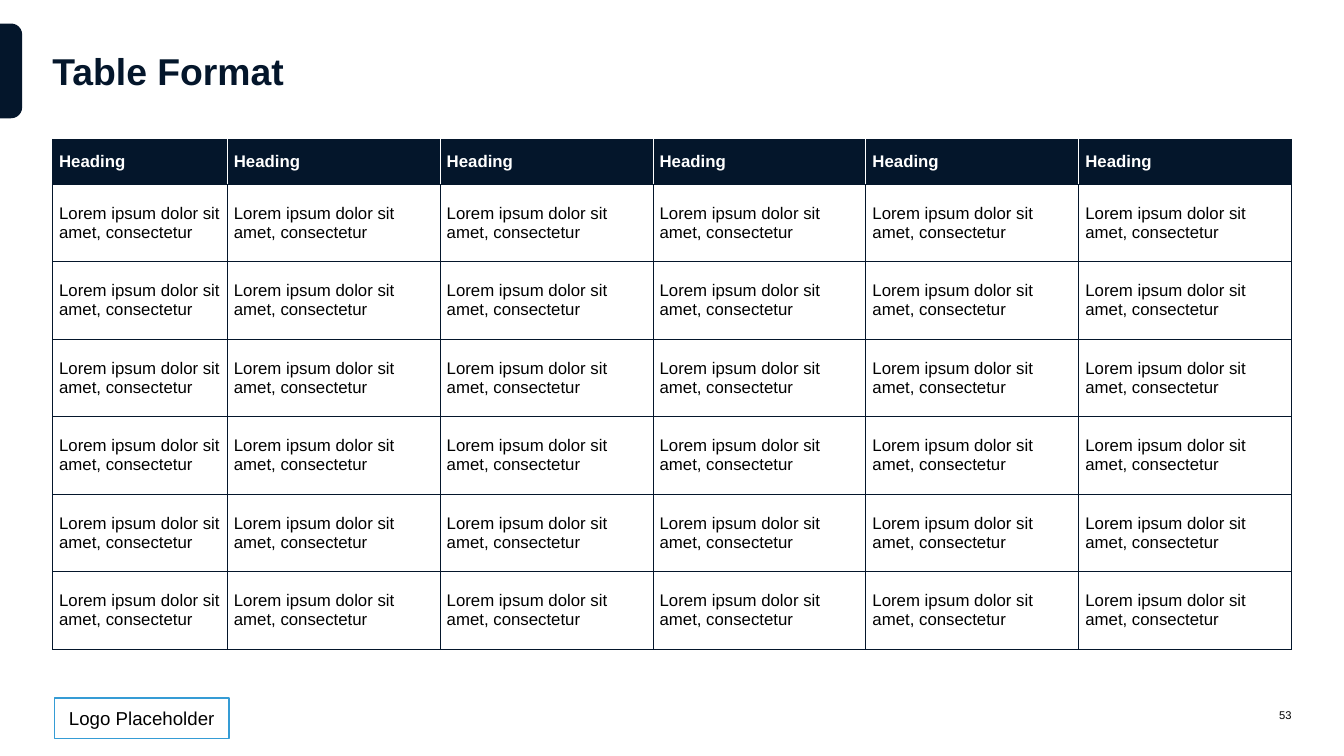
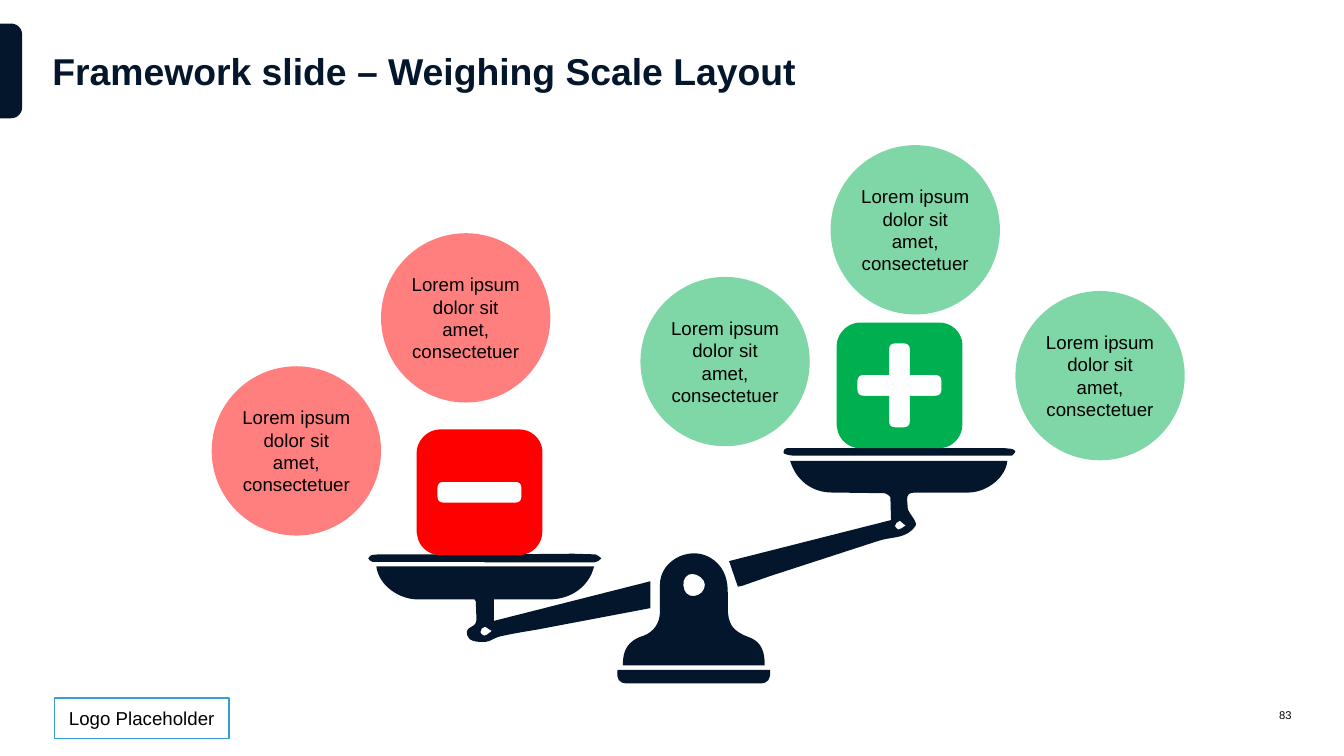
from lxml import etree
from pptx import Presentation
from pptx import util as u
from pptx.dml.color import RGBColor
from pptx.enum import shapes, text
from pptx.oxml import ns

NAVY = RGBColor(0x04, 0x16, 0x2B)
BLUE = RGBColor(0x35, 0x9C, 0xD5)
GREEN = RGBColor(0x00, 0xB0, 0x50)
RED = RGBColor(0xFF, 0x00, 0x00)
WHITE = RGBColor(0xFF, 0xFF, 0xFF)
BLACK = RGBColor(0x00, 0x00, 0x00)
FONT = "Arial"
LEFT, CENTER, RIGHT = text.PP_ALIGN.LEFT, text.PP_ALIGN.CENTER, text.PP_ALIGN.RIGHT


def write(frame, words, size=20, color=BLACK, bold=False, align=LEFT, margin=None):
    """Fill a text frame with one formatted, wrapped paragraph."""
    frame.word_wrap = True
    frame.vertical_anchor = text.MSO_ANCHOR.MIDDLE
    if margin is not None:
        frame.margin_left = frame.margin_right = u.Inches(margin)
        frame.margin_top = frame.margin_bottom = u.Inches(margin)
    paragraph = frame.paragraphs[0]
    paragraph.alignment = align
    run = paragraph.add_run()
    run.text = words
    run.font.name, run.font.size, run.font.bold = FONT, u.Pt(size), bold
    run.font.color.rgb = color


def outline(slide, color, contours, left=0, top=0):
    """Draw closed contours: a pair is a line's end, six numbers are a Bezier curve."""
    builder = None
    for contour in contours:
        ends = [(u.Inches(left + step[-2]), u.Inches(top + step[-1])) for step in contour]
        if builder is None:
            builder = slide.shapes.build_freeform(*ends[0])
        else:
            builder.move_to(*ends[0])
        builder.add_line_segments(ends[1:], close=True)
    shape = builder.convert_to_shape()
    shape.shadow.inherit = False
    shape.fill.solid()
    shape.fill.fore_color.rgb = color
    shape.line.fill.background()
    # Bend the segments that have control points
    segments = list(shape._element.iter(ns.qn("a:lnTo")))
    steps = [step for contour in contours for step in contour[1:]]
    for segment, step in zip(segments, steps):
        if len(step) == 6:
            segment.tag = ns.qn("a:cubicBezTo")
            segment.clear()
            for x, y in zip(step[::2], step[1::2]):
                etree.SubElement(segment, ns.qn("a:pt"), x=str(u.Inches(left + x) - shape.left),
                                 y=str(u.Inches(top + y) - shape.top))


prs = Presentation()
prs.slide_width, prs.slide_height = u.Inches(20), u.Inches(11.25)

# Shared frame: side tab, logo box, title, page number
slides = []
for title, page in [("Table Format", "53"), ("Framework slide – Weighing Scale Layout", "83")]:
    slide = prs.slides.add_slide(prs.slide_layouts[6])
    slides.append(slide)

    tab = slide.shapes.add_shape(shapes.MSO_SHAPE.ROUND_2_SAME_RECTANGLE, u.Inches(-0.54),
                                 u.Inches(0.89), u.Inches(1.41), u.Inches(0.33))
    tab.rotation = 90
    tab.adjustments[0] = 0.5
    tab.shadow.inherit = False
    tab.fill.solid()
    tab.fill.fore_color.rgb = NAVY
    tab.line.fill.background()

    logo = slide.shapes.add_shape(shapes.MSO_SHAPE.ROUNDED_RECTANGLE, u.Inches(0.81),
                                  u.Inches(10.39), u.Inches(2.6), u.Inches(0.6))
    logo.adjustments[0] = 0
    logo.shadow.inherit = False
    logo.fill.solid()
    logo.fill.fore_color.rgb = WHITE
    logo.line.color.rgb, logo.line.width = BLUE, u.Pt(1.5)
    write(logo.text_frame, "Logo Placeholder", align=CENTER)

    heading = slide.shapes.add_textbox(u.Inches(0.78), u.Inches(0.35), u.Inches(18.44), u.Inches(1.39))
    write(heading.text_frame, title, size=40, color=NAVY, bold=True, margin=0)
    number = slide.shapes.add_textbox(u.Inches(18.34), u.Inches(10.39), u.Inches(0.88), u.Inches(0.51))
    write(number.text_frame, page, size=12, align=RIGHT, margin=0)

table_slide, scale_slide = slides

# Table: navy heading row over six body rows
width, height, first_column, heading_row = 18.44, 7.59, 2.6, 0.67
column_widths = [first_column] + [(width - first_column) / 5] * 5
row_heights = [heading_row] + [(height - heading_row) / 6] * 6
table = table_slide.shapes.add_table(7, 6, u.Inches(0.78), u.Inches(2.07),
                                     u.Inches(width), u.Inches(height)).table
table.horz_banding = False
for column, column_width in zip(table.columns, column_widths):
    column.width = u.Inches(column_width)
for r, row_height in enumerate(row_heights):
    table.rows[r].height = u.Inches(row_height)
    for c in range(6):
        cell = table.cell(r, c)
        cell.vertical_anchor = text.MSO_ANCHOR.MIDDLE
        # White rules stand between the headings, navy rules everywhere else
        edges = {"lnL": WHITE if r == 0 and c > 0 else NAVY,
                 "lnR": WHITE if r == 0 and c < 5 else NAVY,
                 "lnT": NAVY, "lnB": NAVY}
        for edge, color in edges.items():
            rule = etree.SubElement(cell._tc.get_or_add_tcPr(), ns.qn("a:" + edge), w=str(u.Pt(0.75)))
            fill = etree.SubElement(rule, ns.qn("a:solidFill"))
            etree.SubElement(fill, ns.qn("a:srgbClr"), val=str(color))
        if r == 0:
            cell.fill.solid()
            cell.fill.fore_color.rgb = NAVY
            write(cell.text_frame, "Heading", size=18, color=WHITE, bold=True)
        else:
            cell.fill.background()
            write(cell.text_frame, "Lorem ipsum dolor sit amet, consectetur", size=18)

# Scale: left pan and arm
outline(scale_slide, NAVY, [
    [(8.84, 8.43), (8.77, 8.72, 8.51, 8.91, 8.2, 8.92), (7.35, 8.92), (7.35, 9.24), (9.68, 8.65),
     (9.68, 9.05), (7.99, 9.37), (7.81, 9.4, 7.62, 9.43, 7.45, 9.47),
     (7.39, 9.48, 7.35, 9.51, 7.3, 9.53), (7.24, 9.57, 7.02, 9.56, 6.98, 9.5),
     (6.93, 9.44, 6.93, 9.36, 7.01, 9.33), (7.08, 9.3, 7.09, 9.26, 7.09, 9.2),
     (7.08, 8.95), (7.06, 8.92), (6.21, 8.92), (5.96, 8.92, 5.64, 8.73, 5.6, 8.43)],
    [(7.32, 9.39), (7.26, 9.36, 7.23, 9.32, 7.21, 9.33), (7.18, 9.33, 7.15, 9.37, 7.15, 9.4),
     (7.14, 9.42, 7.19, 9.46, 7.21, 9.46), (7.24, 9.46, 7.26, 9.43, 7.32, 9.39)],
])

# Scale: right pan and arm
outline(scale_slide, NAVY, [
    [(10.98, 8.73), (10.85, 8.35), (13.26, 7.74), (13.25, 7.4), (13.24, 7.38, 13.19, 7.34, 13.16, 7.34),
     (12.38, 7.33), (12.08, 7.33, 11.84, 7.14, 11.76, 6.86), (14.99, 6.86),
     (14.97, 7.09, 14.71, 7.32, 14.42, 7.33), (13.62, 7.33), (13.53, 7.33, 13.49, 7.36, 13.5, 7.45),
     (13.51, 7.58), (13.52, 7.61, 13.55, 7.65, 13.57, 7.68), (13.59, 7.72, 13.63, 7.75, 13.63, 7.79),
     (13.64, 7.82, 13.6, 7.86, 13.57, 7.89), (13.43, 8.02, 13.24, 7.99, 13.07, 8.05),
     (11.47, 8.57), (11.04, 8.72)],
    [(13.48, 7.82), (13.43, 7.79, 13.4, 7.75, 13.39, 7.75), (13.36, 7.76, 13.32, 7.79, 13.32, 7.82),
     (13.31, 7.83, 13.35, 7.88, 13.37, 7.88), (13.4, 7.88, 13.43, 7.85, 13.48, 7.82)],
])

# Scale: pivot stand and foot
outline(scale_slide, NAVY, [
    [(9.27, 9.9), (9.26, 9.67, 9.36, 9.52, 9.58, 9.46), (9.73, 9.4, 9.82, 9.27, 9.82, 9.11),
     (9.82, 8.71), (9.82, 8.51, 9.94, 8.36, 10.11, 8.28), (10.28, 8.21, 10.46, 8.21, 10.63, 8.34),
     (10.79, 8.47, 10.83, 8.64, 10.83, 8.82), (10.83, 9.03),
     (10.83, 9.29, 10.9, 9.39, 11.14, 9.48), (11.34, 9.55, 11.38, 9.71, 11.38, 9.9)],
    [(10.3, 8.54), (10.22, 8.54, 10.16, 8.61, 10.17, 8.71), (10.17, 8.81, 10.24, 8.88, 10.33, 8.87),
     (10.42, 8.86, 10.49, 8.79, 10.49, 8.7), (10.49, 8.62, 10.39, 8.54, 10.3, 8.54)],
])
outline(scale_slide, NAVY, [
    [(11.46, 9.97), (11.47, 10.11, 11.43, 10.17, 11.31, 10.17), (9.33, 10.17),
     (9.21, 10.17, 9.17, 10.1, 9.19, 9.97)],
])

# Scale: right and left plates
outline(scale_slide, NAVY, [
    [(11.8, 6.67), (14.96, 6.67), (15.06, 6.68), (15.08, 6.68, 15.11, 6.71, 15.11, 6.72),
     (15.1, 6.74, 15.08, 6.77, 15.06, 6.78), (11.8, 6.78),
     (11.75, 6.78, 11.65, 6.75, 11.66, 6.74), (11.66, 6.64, 11.75, 6.67, 11.8, 6.67)],
])
outline(scale_slide, NAVY, [
    [(7.21, 8.36), (5.54, 8.36), (5.51, 8.35, 5.49, 8.33, 5.48, 8.31),
     (5.48, 8.3, 5.51, 8.27, 5.53, 8.26), (5.63, 8.25), (7.39, 8.25), (8.53, 8.24), (8.86, 8.25),
     (8.89, 8.25, 8.92, 8.29, 8.95, 8.31), (8.92, 8.33, 8.89, 8.37, 8.85, 8.37), (7.21, 8.37)],
])

# Plus and minus tiles; each sign is cut out of bar ends turned in quarter turns
tile = [(1.87, 0.36), (1.87, 1.53), (1.87, 1.68, 1.76, 1.81, 1.64, 1.85),
        (1.61, 1.86, 1.57, 1.87, 1.53, 1.87), (0.34, 1.87), (0.18, 1.87, 0.03, 1.74, 0.01, 1.58),
        (0, 1.53), (0, 0.35), (0, 0.19, 0.12, 0.06, 0.24, 0.02), (0.27, 0.01, 0.31, 0, 0.34, 0),
        (1.53, 0), (1.7, 0, 1.85, 0.13, 1.87, 0.3)]
bar_ends = [[(1.47, 1.09), (1.53, 1.09, 1.56, 1.06, 1.56, 1), (1.56, 0.87),
             (1.56, 0.81, 1.53, 0.78, 1.47, 0.78), (1.09, 0.78)]]
for _ in range(3):
    bar_ends.append([tuple(v for x, y in zip(step[::2], step[1::2]) for v in (y, 1.87 - x))
                     for step in bar_ends[-1]])
plus = sum(bar_ends, [])
minus = bar_ends[0][:4] + bar_ends[2][:4]
outline(scale_slide, GREEN, [tile, plus], left=12.45, top=4.8)
outline(scale_slide, RED, [tile, minus], left=6.2, top=6.39)

# Argument bubbles around the tiles
bubbles = [(9.53, 4.12, GREEN), (12.36, 2.16, GREEN), (15.11, 4.33, GREEN),
           (3.15, 5.45, RED), (5.67, 3.47, RED)]
for left, top, color in bubbles:
    bubble = scale_slide.shapes.add_shape(shapes.MSO_SHAPE.OVAL, u.Inches(left), u.Inches(top),
                                          u.Inches(2.52), u.Inches(2.52))
    bubble.shadow.inherit = False
    bubble.fill.solid()
    bubble.fill.fore_color.rgb = color
    tint = bubble._element.spPr.find(ns.qn("a:solidFill"))[0]
    etree.SubElement(tint, ns.qn("a:alpha"), val="50000")
    bubble.line.fill.background()
    write(bubble.text_frame, "Lorem ipsum dolor sit amet, consectetuer", align=CENTER, margin=0.04)

prs.save("out.pptx")
